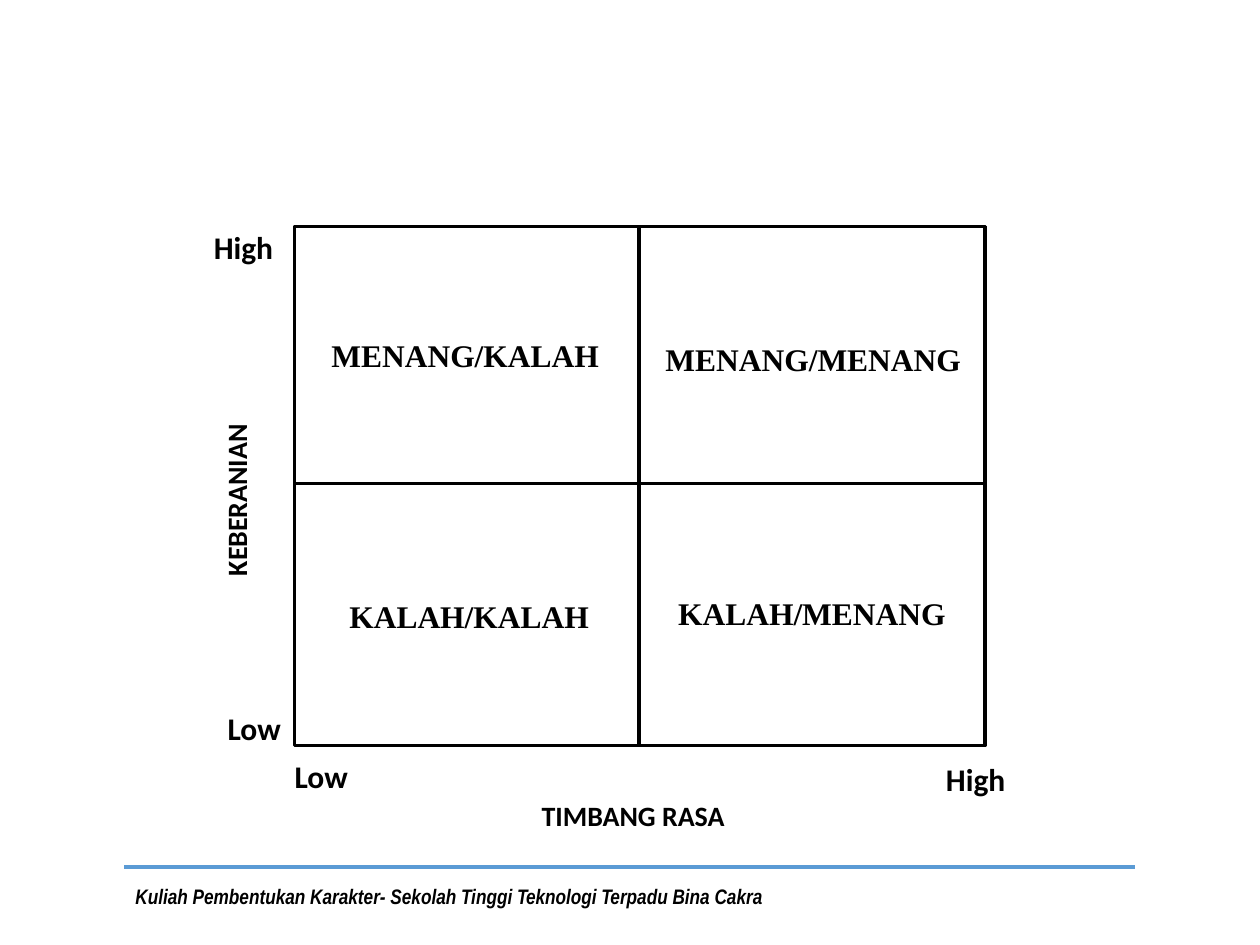
from lxml import etree
from pptx import Presentation
from pptx.dml.color import RGBColor
from pptx.enum import shapes, text
from pptx.oxml.ns import qn
from pptx.util import Cm, Pt

BLACK = RGBColor(0x00, 0x00, 0x00)
BLUE = RGBColor(0x5B, 0x9B, 0xD5)

prs = Presentation()
prs.slide_width, prs.slide_height = Cm(25.4), Cm(19.05)
s = prs.slides.add_slide(prs.slide_layouts[6])


def add_label(content, x, y, w, h=1.02, size=18, font="Calibri", italic=False,
              align=text.PP_ALIGN.LEFT, anchor=text.MSO_ANCHOR.TOP,
              fit=text.MSO_AUTO_SIZE.SHAPE_TO_FIT_TEXT, rotation=0):
    sp = s.shapes.add_textbox(Cm(x), Cm(y), Cm(w), Cm(h))
    sp.rotation = rotation
    tf = sp.text_frame
    tf.word_wrap = False
    tf.auto_size = fit
    tf.vertical_anchor = anchor
    p = tf.paragraphs[0]
    p.alignment = align
    r = p.add_run()
    r.text = content
    r.font.name, r.font.size = font, Pt(size)
    r.font.bold, r.font.italic = True, italic
    r.font.color.rgb = BLACK


def add_line(x1, y1, x2, y2, color, width):
    ln = s.shapes.add_connector(shapes.MSO_CONNECTOR.STRAIGHT,
                                Cm(x1), Cm(y1), Cm(x2), Cm(y2))
    ln.line.color.rgb = color
    ln.line.width = Pt(width)
    etree.SubElement(ln._element.spPr, qn("a:effectLst"))


# Footer
add_label("Kuliah Pembentukan Karakter- Sekolah Tinggi Teknologi Terpadu Bina Cakra",
          2.29, 17.65, 13.54, 0.84, size=12, font="Arial Narrow", italic=True,
          align=text.PP_ALIGN.CENTER, anchor=text.MSO_ANCHOR.MIDDLE,
          fit=text.MSO_AUTO_SIZE.NONE)
add_line(2.51, 17.48, 22.89, 17.48, BLUE, 2.25)

# Axis ends and titles
for content, x, y, w in [
    ("High", 4.06, 4.47, 1.93),
    ("Low", 4.34, 14.17, 1.8),
    ("High", 18.82, 15.19, 1.93),
    ("Low", 5.69, 15.14, 1.8),
]:
    add_label(content, x, y, w)
add_label("KEBERANIAN", 2.62, 9.25, 4.29, 0.94, size=16, rotation=270)
add_label("TIMBANG RASA", 10.67, 15.98, 4.95, 0.94, size=16)

# Quadrant names
for content, x, y, w in [
    ("MENANG/KALAH", 6.32, 6.65, 6.12),
    ("MENANG/MENANG", 12.98, 6.73, 6.83),
    ("KALAH/KALAH", 6.78, 11.91, 5.36),
    ("KALAH/MENANG", 13.31, 11.86, 6.12),
]:
    add_label(content, x, y, w, font="Times New Roman", align=text.PP_ALIGN.CENTER)

# Matrix: whole frame, upper half, vertical divider
for height in (10.46, 5.18):
    sp = s.shapes.add_shape(shapes.MSO_SHAPE.RECTANGLE,
                            Cm(5.94), Cm(4.57), Cm(13.92), Cm(height))
    sp.shadow.inherit = False
    sp.fill.background()
    sp.line.color.rgb = BLACK
    sp.line.width = Pt(2)
add_line(12.88, 4.55, 12.88, 15.06, BLACK, 2)

prs.save("out.pptx")
